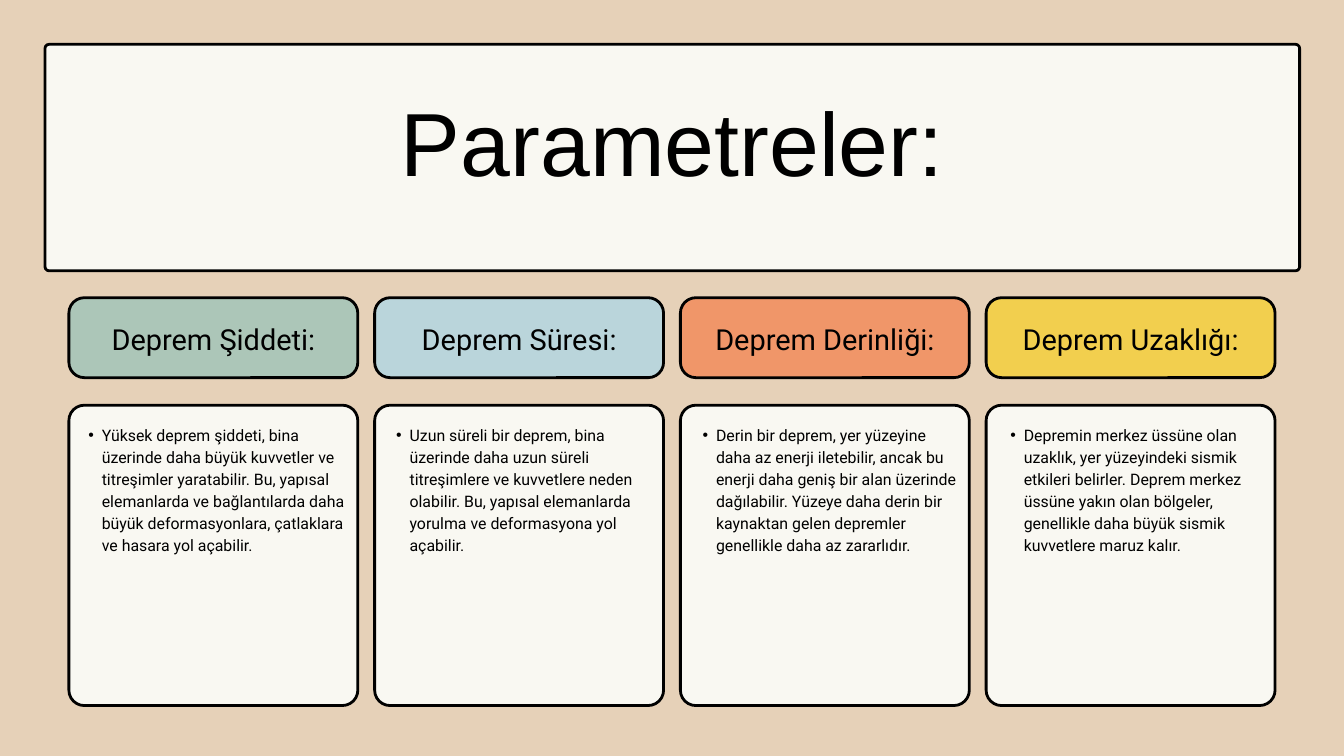
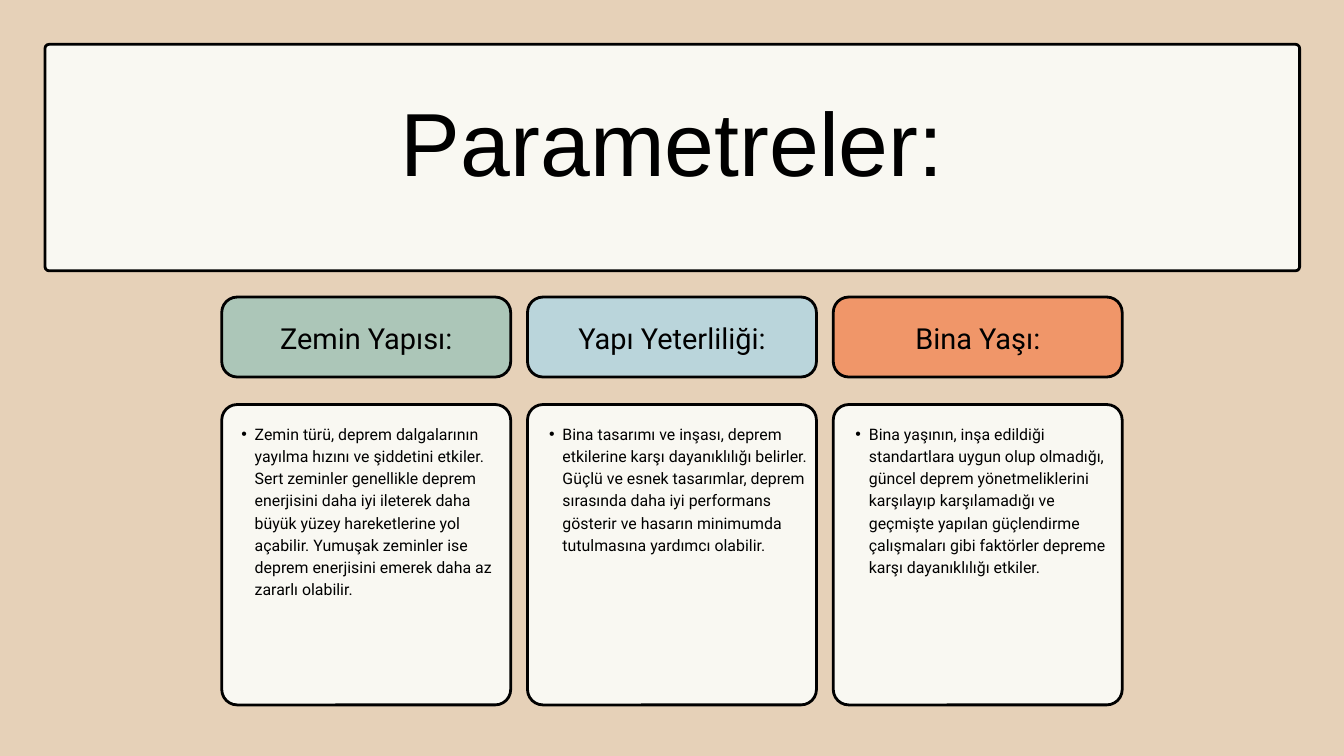
from lxml import etree
from pptx import Presentation
from pptx.dml.color import RGBColor
from pptx.enum import shapes, text
from pptx.oxml import ns
from pptx.util import Inches, Pt

SAND = RGBColor(0xE6, 0xD1, 0xB8)
CREAM = RGBColor(0xF9, 0xF8, 0xF2)
BLACK = RGBColor(0x00, 0x00, 0x00)
SAGE = RGBColor(0xAC, 0xC6, 0xB8)
SKY = RGBColor(0xBA, 0xD5, 0xDB)
ORANGE = RGBColor(0xF0, 0x96, 0x69)
YELLOW = RGBColor(0xF2, 0xCF, 0x4E)
HEADER_COLORS = [SAGE, SKY, ORANGE, YELLOW]

SLIDE_W, SLIDE_H = 20, 11.25
TITLE = "Parametreler:"
LINE_RATIO = 1.4
CARD_W, CARD_GAP = 4.3, 0.25
HEADER_H, BODY_H, BODY_DROP = 1.19, 4.47, 1.6
CARD_RADIUS, TITLE_RADIUS = 0.23, 0.06
BODY_INSETS = [0.09, 0.12, 0.13, 0.16]

# Each slide: top of the cards, then (heading, description) pairs
SLIDES = [
    (4.43, [
        ("Deprem Şiddeti:",
         "Yüksek deprem şiddeti, bina üzerinde daha büyük kuvvetler ve "
         "titreşimler yaratabilir. Bu, yapısal elemanlarda ve bağlantılarda "
         "daha büyük deformasyonlara, çatlaklara ve hasara yol açabilir."),
        ("Deprem Süresi:",
         "Uzun süreli bir deprem, bina üzerinde daha uzun süreli titreşimlere "
         "ve kuvvetlere neden olabilir. Bu, yapısal elemanlarda yorulma ve "
         "deformasyona yol açabilir."),
        ("Deprem Derinliği:",
         "Derin bir deprem, yer yüzeyine daha az enerji iletebilir, ancak bu "
         "enerji daha geniş bir alan üzerinde dağılabilir. Yüzeye daha derin "
         "bir kaynaktan gelen depremler genellikle daha az zararlıdır."),
        ("Deprem Uzaklığı:",
         "Depremin merkez üssüne olan uzaklık, yer yüzeyindeki sismik etkileri "
         "belirler. Deprem merkez üssüne yakın olan bölgeler, genellikle daha "
         "büyük sismik kuvvetlere maruz kalır."),
    ]),
    (4.42, [
        ("Zemin Yapısı:",
         "Zemin türü, deprem dalgalarının yayılma hızını ve şiddetini etkiler. "
         "Sert zeminler genellikle deprem enerjisini daha iyi ileterek daha "
         "büyük yüzey hareketlerine yol açabilir. Yumuşak zeminler ise deprem "
         "enerjisini emerek daha az zararlı olabilir."),
        ("Yapı Yeterliliği:",
         "Bina tasarımı ve inşası, deprem etkilerine karşı dayanıklılığı "
         "belirler. Güçlü ve esnek tasarımlar, deprem sırasında daha iyi "
         "performans gösterir ve hasarın minimumda tutulmasına yardımcı "
         "olabilir."),
        ("Bina Yaşı:",
         "Bina yaşının, inşa edildiği standartlara uygun olup olmadığı, güncel "
         "deprem yönetmeliklerini karşılayıp karşılamadığı ve geçmişte yapılan "
         "güçlendirme çalışmaları gibi faktörler depreme karşı dayanıklılığı "
         "etkiler."),
    ]),
]


def add_panel(s, x, y, w, h, fill, radius):
    """Outlined rectangle with rounded corners."""
    sp = s.shapes.add_shape(shapes.MSO_SHAPE.ROUNDED_RECTANGLE,
                            Inches(x), Inches(y), Inches(w), Inches(h))
    sp.adjustments[0] = radius / min(w, h)
    sp.shadow.inherit = False
    sp.fill.solid()
    sp.fill.fore_color.rgb = fill
    sp.line.color.rgb = BLACK
    sp.line.width = Pt(3)


def add_bullet(p):
    p.level = 1
    pPr = p._p.get_or_add_pPr()
    pPr.set("marL", str(Inches(0.4)))
    pPr.set("indent", str(Inches(-0.2)))
    font = etree.SubElement(pPr, ns.qn("a:buFont"))
    font.set("typeface", "Arial")
    etree.SubElement(pPr, ns.qn("a:buChar")).set("char", "•")


def add_text(s, x, y, w, h, words, size, font="Roboto", bullet=False):
    """Text box without margins; centred unless bulleted."""
    tf = s.shapes.add_textbox(Inches(x), Inches(y), Inches(w), Inches(h)).text_frame
    tf.word_wrap = True
    tf.margin_left = tf.margin_right = tf.margin_top = tf.margin_bottom = 0
    p = tf.paragraphs[0]
    p.text = words
    p.line_spacing = Pt(size * LINE_RATIO)
    if bullet:
        add_bullet(p)
    else:
        p.alignment = text.PP_ALIGN.CENTER
    r = p.runs[0]
    r.font.size = Pt(size)
    r.font.name = font
    r.font.color.rgb = BLACK


def add_title(s, x, y, w, h):
    add_panel(s, x, y, w, h, CREAM, TITLE_RADIUS)
    add_text(s, x + 2.05, y + 0.37, w - 4.1, 2.1, TITLE, 96, "Arial")


def add_card(s, x, y, heading, description, color, inset):
    # Coloured heading
    add_panel(s, x, y, CARD_W, HEADER_H, color, CARD_RADIUS)
    add_text(s, x + 0.16, y + 0.27, CARD_W - 0.32, 0.57, heading, 31)
    # Description
    body_y = y + BODY_DROP
    add_panel(s, x, body_y, CARD_W, BODY_H, CREAM, CARD_RADIUS)
    add_text(s, x + inset, body_y + 0.25, 4.05, 2.57, description, 17, bullet=True)


def add_parameter_slide(prs, top, cards):
    s = prs.slides.add_slide(prs.slide_layouts[6])
    s.background.fill.solid()
    s.background.fill.fore_color.rgb = SAND
    add_title(s, 0.67, 0.66, 18.67, 3.37)
    # Row of cards centred on the slide
    pitch = CARD_W + CARD_GAP
    left = (SLIDE_W - len(cards) * pitch + CARD_GAP) / 2
    for i, (heading, description) in enumerate(cards):
        add_card(s, left + i * pitch, top, heading, description,
                 HEADER_COLORS[i], BODY_INSETS[i])


def main():
    prs = Presentation()
    prs.slide_width, prs.slide_height = Inches(SLIDE_W), Inches(SLIDE_H)
    for top, cards in SLIDES:
        add_parameter_slide(prs, top, cards)
    prs.save("out.pptx")


if __name__ == "__main__":
    main()
